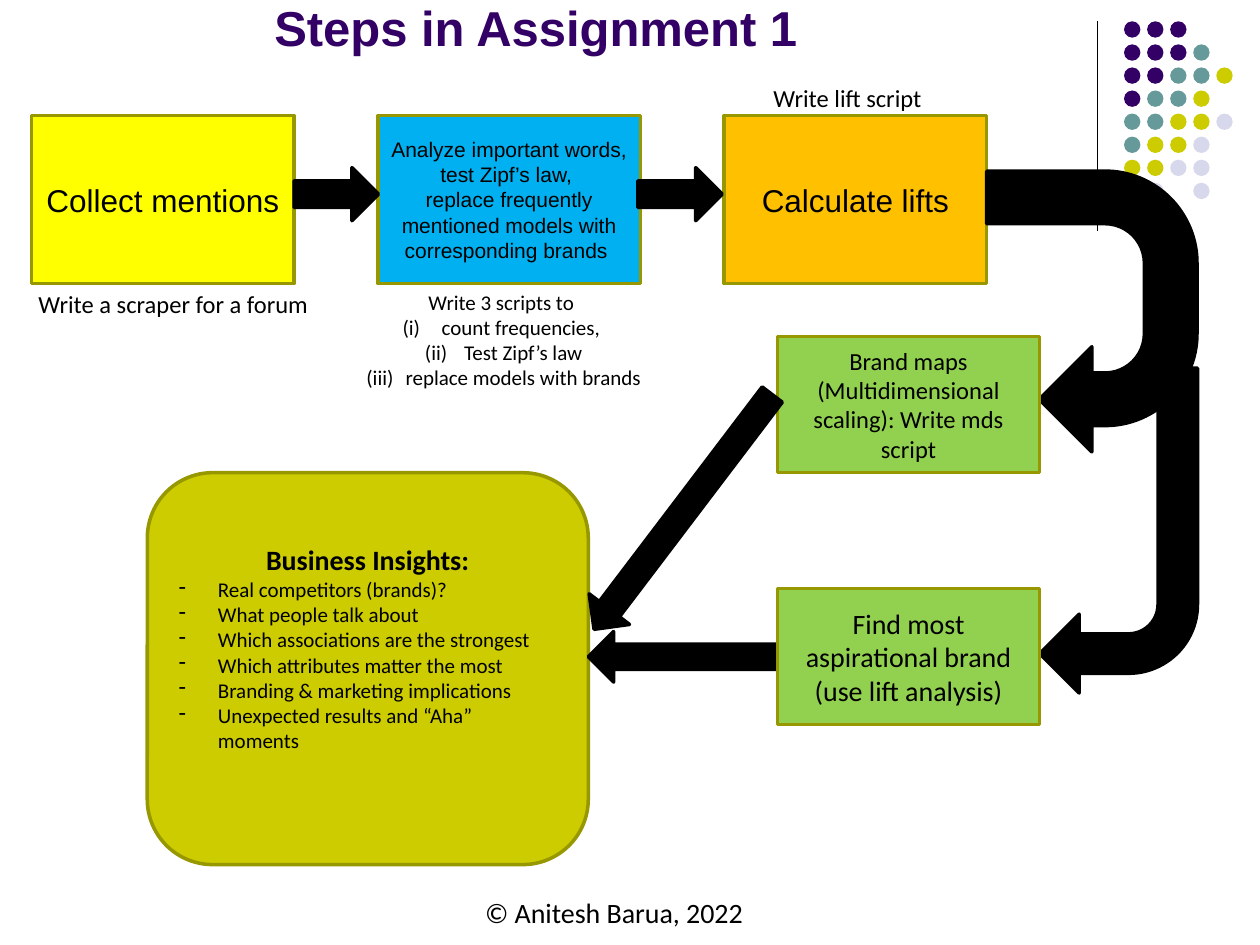
from dataclasses import dataclass
from lxml.etree import SubElement
from pptx import Presentation
from pptx.dml.color import RGBColor
from pptx.enum.shapes import MSO_CONNECTOR, MSO_SHAPE
from pptx.enum.text import MSO_ANCHOR, PP_ALIGN
from pptx.oxml.ns import qn
from pptx.util import Cm, Pt


@dataclass(frozen=True)
class Theme:
    """Colours, fonts and type sizes of the slide."""
    ink: str = "000000"
    plum: str = "330066"
    teal: str = "669999"
    lime: str = "CCCC00"
    mist: str = "D8D8EC"
    edge: str = "979700"
    sun: str = "FFFF00"
    sky: str = "00B0F0"
    gold: str = "FFC000"
    leaf: str = "92D050"
    head: str = "Arial"
    body: str = "Calibri"
    title: int = 28
    large: int = 18
    mid: int = 16
    note: int = 14
    small: int = 12


T = Theme()


def write(frame, text, size=T.note, font=T.body, color=T.ink, bold=False,
          align=PP_ALIGN.CENTER, mark=None, space=None, after=None):
    """Add one formatted paragraph to a text frame."""
    first = frame.paragraphs[0]
    para = frame.add_paragraph() if first.runs else first
    para.alignment = align
    if space:
        para.line_spacing = space
    if after:
        para.space_after = Pt(after)
    if mark:
        props = para._p.get_or_add_pPr()
        props.set("marL", str(Cm(0.79)))
        props.set("indent", str(-Cm(0.79)))
        tag, key = ("a:buChar", "char") if mark == "-" else ("a:buAutoNum", "type")
        SubElement(props, qn(tag)).set(key, mark)
    run = para.add_run()
    run.text = text
    run.font.size, run.font.name, run.font.bold = Pt(size), font, bold
    run.font.color.rgb = RGBColor.from_string(color)


def draw(slide, kind, box, fill, line=None, turn=0):
    """Draw a flat preset shape in a box given in centimetres."""
    shape = slide.shapes.add_shape(kind, *map(Cm, box))
    shape.shadow.inherit = False
    shape.fill.solid()
    shape.fill.fore_color.rgb = RGBColor.from_string(fill)
    if line:
        shape.line.color.rgb = RGBColor.from_string(line)
        shape.line.width = Pt(2)
    else:
        shape.line.fill.background()
    shape.rotation = turn
    return shape


def arrow(slide, kind, box, turn=0):
    """Draw a black block arrow."""
    draw(slide, kind, box, T.ink, T.ink, turn)


def card(slide, box, fill, lines, **form):
    """Draw a box with centred text."""
    frame = draw(slide, MSO_SHAPE.RECTANGLE, box, fill, T.edge).text_frame
    frame.word_wrap = True
    frame.vertical_anchor = MSO_ANCHOR.MIDDLE
    for text in lines:
        write(frame, text, **form)


def label(slide, box, wrap=False):
    """Add a free text box and return its frame."""
    frame = slide.shapes.add_textbox(*map(Cm, box)).text_frame
    frame.word_wrap = wrap
    return frame


def motif(slide, x, y):
    """Place the rule and the grid of dots."""
    rule = slide.shapes.add_connector(
        MSO_CONNECTOR.STRAIGHT, Cm(x), Cm(y), Cm(x), Cm(y + 4.22))
    rule.line.color.rgb = RGBColor.from_string(T.ink)
    rule.line.width = Pt(0.75)
    SubElement(rule._element.spPr, qn("a:effectLst"))
    hues = {"P": T.plum, "T": T.teal, "L": T.lime, "M": T.mist}
    rows = ("PPP", "PPPT", "PPTTL", "PTTL", "TTLLM", "TLLM", "LLMM", " M M")
    for i, row in enumerate(rows):
        for j, hue in enumerate(row):
            if hue in hues:
                spot = (x + 0.54 + j * 0.465, y + i * 0.465, 0.33, 0.33)
                draw(slide, MSO_SHAPE.OVAL, spot, hues[hue])


def title(slide, box):
    """Place the slide title."""
    frame = label(slide, box, True)
    frame.margin_top = 0
    frame.vertical_anchor = MSO_ANCHOR.BOTTOM
    write(frame, "Steps in Assignment 1", size=T.title, font=T.head,
          color=T.plum, bold=True, align=PP_ALIGN.LEFT)


def steps(slide, x, y):
    """Place the row of three steps with arrows and notes."""
    cards = (
        (T.sun, T.large, ["Collect mentions"]),
        (T.sky, T.small, ["Analyze important words, test Zipf’s law, ",
                          "replace frequently mentioned models with "
                          "corresponding brands "]),
        (T.gold, T.large, ["Calculate lifts"]),
    )
    for i, (fill, size, lines) in enumerate(cards):
        card(slide, (x + i * 6.98, y, 5.29, 3.39), fill, lines,
             size=size, font=T.head)
    for gap in (5.29, 12.22):
        arrow(slide, MSO_SHAPE.RIGHT_ARROW, (x + gap, y + 1.05, 1.7, 1.07))
    write(label(slide, (x - 0.28, y + 3.38, 6.27, 0.86)),
          "Write a scraper for a forum")
    tasks = label(slide, (x + 6.25, y + 3.38, 6.53, 3.07))
    write(tasks, "Write 3 scripts to ", size=T.small)
    for text in ("count frequencies, ", "Test Zipf’s law",
                 "replace models with brands"):
        write(tasks, text, size=T.small, mark="romanLcParenBoth")
    write(label(slide, (x + 14.63, y - 0.78, 3.63, 0.86)), "Write lift script")
    arrow(slide, MSO_SHAPE.U_TURN_ARROW, (x + 18.54, y + 1.83, 5.66, 4.24), 90)


def results(slide, x, y):
    """Place the two analyses and the arrows around them."""
    card(slide, (x, y, 5.29, 2.75), T.leaf,
         ["Brand maps", "(Multidimensional scaling): Write mds script"])
    arrow(slide, MSO_SHAPE.BENT_ARROW, (x + 5.29, y + 0.64, 3.18, 6.55), 180)
    arrow(slide, MSO_SHAPE.RIGHT_ARROW, (x - 4.87, y + 3.03, 5.94, 1.02), 127.2)
    arrow(slide, MSO_SHAPE.RIGHT_ARROW, (x - 3.81, y + 5.95, 3.84, 1.02), 180)
    card(slide, (x, y + 5.08, 5.29, 2.75), T.leaf,
         ["Find most aspirational brand", "(use lift analysis)"], size=T.mid)


def goals(slide, box):
    """Place the panel of business insights."""
    panel = draw(slide, MSO_SHAPE.ROUNDED_RECTANGLE, box, T.lime, T.edge)
    frame = panel.text_frame
    frame.word_wrap = True
    frame.vertical_anchor = MSO_ANCHOR.TOP
    frame.margin_top = Cm(1.03)
    write(frame, "Business Insights:", size=T.mid, bold=True)
    for text in ("Real competitors (brands)?", "What people talk about",
                 "Which associations are the strongest",
                 "Which attributes matter the most",
                 "Branding & marketing implications",
                 "Unexpected results and “Aha” moments "):
        write(frame, text, size=T.small, align=PP_ALIGN.LEFT, mark="-")


def foot(slide, box):
    """Place the copyright line."""
    write(label(slide, box), "© Anitesh Barua, 2022", size=T.mid,
          align=PP_ALIGN.LEFT, space=1.07, after=8)


def main():
    """Build and save the slide."""
    deck = Presentation()
    deck.slide_width, deck.slide_height = Cm(25.4), Cm(19.05)
    slide = deck.slides.add_slide(deck.slide_layouts[6])
    motif(slide, 22.12, 0.43)
    title(slide, (5.28, 0, 16.5, 1.27))
    steps(slide, 0.64, 2.33)
    goals(slide, (2.97, 9.53, 8.89, 7.9))
    results(slide, 15.67, 6.78)
    foot(slide, (9.53, 17.88, 5.79, 0.97))
    deck.save("out.pptx")


main()
